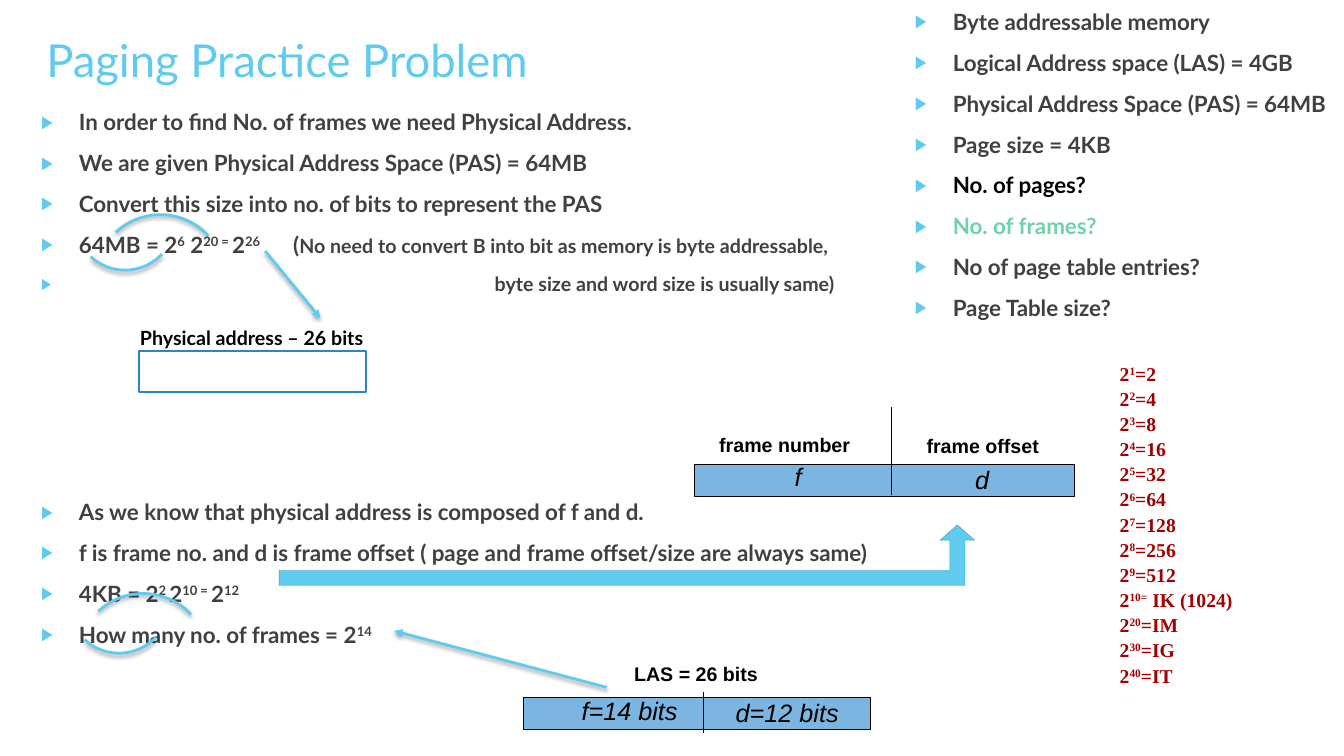
from dataclasses import dataclass

from lxml import etree
from pptx import Presentation
from pptx.dml.color import RGBColor
from pptx.enum.shapes import MSO_CONNECTOR, MSO_SHAPE
from pptx.enum.text import MSO_ANCHOR, PP_ALIGN
from pptx.oxml.ns import qn
from pptx.util import Pt

RECTANGLE, ARC, BENT_ARROW = MSO_SHAPE.RECTANGLE, MSO_SHAPE.ARC, MSO_SHAPE.BENT_UP_ARROW
STRAIGHT = MSO_CONNECTOR.STRAIGHT
LEFT, CENTER = PP_ALIGN.LEFT, PP_ALIGN.CENTER
TOP, MIDDLE = MSO_ANCHOR.TOP, MSO_ANCHOR.MIDDLE


@dataclass(frozen=True)
class Theme:
    accent: str = "5FCBEF"
    body: str = "404040"
    black: str = "000000"
    white: str = "FFFFFF"
    green: str = "6ED2AA"
    red: str = "A20000"
    bar: str = "7CB5E0"
    frame: str = "2E83C3"
    arrow_edge: str = "4696B1"
    sans: str = "Lato"
    label: str = "Arial"
    serif: str = "Times New Roman"
    title_size: float = 32.4
    cell_size: float = 18
    body_size: float = 16
    small_size: float = 14


THEME = Theme()


def color(value):
    return RGBColor.from_string(value)


def child(parent, tag, **attributes):
    return etree.SubElement(parent, qn(tag), attributes)


def style_span(span, size, font, ink, bold=True, italic=False):
    span.font.size, span.font.name = Pt(size), font
    span.font.bold, span.font.italic = bold, italic
    span.font.color.rgb = color(ink)


def add_spans(para, text, *style):
    """Add runs to para; text between carets is superscript."""
    for index, piece in enumerate(text.split("^")):
        if piece:
            span = para.add_run()
            span.text = piece
            style_span(span, *style)
            if index % 2:
                span.font._element.set("baseline", "30000")


def text_box(shapes, box, anchor=TOP):
    frame = shapes.add_textbox(*map(Pt, box)).text_frame
    frame.word_wrap = True
    frame.vertical_anchor = anchor
    return frame


def simple_text(shapes, box, text, *style, align=LEFT, anchor=TOP):
    para = text_box(shapes, box, anchor).paragraphs[0]
    para.text, para.alignment = text, align
    style_span(para.runs[0], *style)


def paragraphs(frame, count):
    return [frame.paragraphs[0]] + [frame.add_paragraph() for _ in range(count - 1)]


def set_bullet(para, indent=27):
    """Give para a triangle bullet, with its text hanging at indent points."""
    props = para._p.get_or_add_pPr()
    props.set("marL", str(Pt(indent)))
    props.set("indent", str(-Pt(indent)))
    child(child(props, "a:buClr"), "a:srgbClr", val=THEME.accent)
    child(props, "a:buSzPct", val="80000")
    child(props, "a:buFont", typeface="Arial")
    child(props, "a:buChar", char="▶")
    para.space_before = Pt(10)


def bullet_list(page, box, lines, inks=None):
    """Place bulleted lines; inks maps a line number to its colour."""
    inks = inks or {}
    items = paragraphs(text_box(page.shapes, box), len(lines))
    for index, (para, line) in enumerate(zip(items, lines)):
        set_bullet(para)
        add_spans(para, line, THEME.body_size, THEME.sans, inks.get(index, THEME.body))
    return items


def conversion_steps(page, box):
    *_, sum_line, note_line = bullet_list(page, box, [
        "In order to find No. of frames we need Physical Address.",
        "We are given Physical Address Space (PAS) = 64MB",
        "Convert this size into no. of bits to represent the PAS",
        "64MB = 2^6^ 2^20 = ^2^26^\t(",
        "byte size and word size is usually same)",
    ])
    tabs = child(sum_line._p.get_or_add_pPr(), "a:tabLst")
    child(tabs, "a:tab", pos=str(Pt(180)), algn="l")
    add_spans(sum_line, "No need to convert B into bit as memory is byte addressable,",
              THEME.small_size, THEME.sans, THEME.body)
    note_line.runs[0].font.size = Pt(THEME.small_size)
    props = note_line._p.get_or_add_pPr()
    props.set("marL", str(Pt(324)))
    props.set("indent", str(-Pt(324)))


def powers_of_two(page, box):
    lines = [f"2^{power}^={2 ** power}" for power in range(1, 10)]
    lines += ["2^10=^ IK (1024)", "2^20^=IM", "2^30^=IG", "2^40^=IT"]
    for para, line in zip(paragraphs(text_box(page.shapes, box), len(lines)), lines):
        para._p.get_or_add_pPr().set("marL", str(Pt(18)))
        para.line_spacing = 1.07
        add_spans(para, line, THEME.small_size, THEME.serif, THEME.red)


def add_shadow(effects):
    shadow = child(effects, "a:outerShdw", blurRad=str(Pt(3)), dist=str(Pt(2)),
                   dir="5400000", algn="ctr", rotWithShape="0")
    child(child(shadow, "a:srgbClr", val=THEME.black), "a:alpha", val="35000")


def preset(shapes, kind, box, fill, line, width):
    shape = shapes.add_shape(kind, *map(Pt, box))
    shape.shadow.inherit = False
    if fill:
        shape.fill.solid()
        shape.fill.fore_color.rgb = color(fill)
    else:
        shape.fill.background()
    shape.line.color.rgb = color(line)
    shape.line.width = Pt(width)
    return shape


def straight_line(shapes, start, end, ink, width):
    line = shapes.add_connector(STRAIGHT, *map(Pt, (*start, *end)))
    line.line.color.rgb = color(ink)
    line.line.width = Pt(width)
    return line, child(line._element.spPr, "a:effectLst")


def pointer(page, start, end):
    line, effects = straight_line(page.shapes, start, end, THEME.accent, 2)
    child(line.line._get_or_add_ln(), "a:tailEnd", type="triangle")
    add_shadow(effects)


def link_arc(page, left, top, size, rotation, flipped):
    arc = preset(page.shapes, ARC, (left, top, size, size), None, THEME.accent, 2)
    arc.rotation = rotation
    if flipped:
        arc._element.spPr.find(qn("a:xfrm")).set("flipV", "1")
    add_shadow(arc._element.spPr.find(qn("a:effectLst")))


def arc_pair(page, lower, upper):
    """Join the factors of a product from below and from above."""
    link_arc(page, *lower, 72, 133, False)
    link_arc(page, *upper, 93.6, 227, True)


def address_bar(page, box, divider, captions, cells):
    """Draw a divided bar; divider is x, top, bottom and labels are text, x, y of centre, all from its corner."""
    left, top, _, _ = box
    shapes = page.shapes.add_group_shape().shapes
    preset(shapes, RECTANGLE, box, THEME.bar, THEME.black, 0.75)
    x, start, end = divider
    straight_line(shapes, (left + x, top + start), (left + x, top + end), THEME.black, 0.75)
    caption_style = (THEME.small_size, THEME.label, THEME.black)
    cell_style = (THEME.cell_size, THEME.label, THEME.black, False, True)
    for labels, style in ((captions, caption_style), (cells, cell_style)):
        for text, x, y in labels:
            simple_text(shapes, (left + x - 60, top + y - 16, 120, 32), text, *style,
                        align=CENTER, anchor=MIDDLE)


def physical_address(page, box):
    left, top, _, _ = box
    preset(page.shapes, RECTANGLE, box, THEME.white, THEME.frame, 1.5)
    simple_text(page.shapes, (left - 6.5, top - 21.5, 188, 24.5), "Physical address – 26 bits",
                THEME.small_size, THEME.sans, THEME.black)


def offset_arrow(page, box):
    arrow = preset(page.shapes, BENT_ARROW, box, THEME.accent, THEME.arrow_edge, 0.25)
    for index, value in enumerate((0.25, 0.285, 0.25)):
        arrow.adjustments[index] = value


def paging_slide(deck):
    page = deck.slides.add_slide(deck.slide_layouts[6])
    simple_text(page.shapes, (26, 19.5, 677, 42), "Paging Practice Problem",
                THEME.title_size, THEME.sans, THEME.accent, False)
    conversion_steps(page, (22.3, 74, 607, 150))
    bullet_list(page, (22.3, 352.5, 607, 125), [
        "As we know that physical address is composed of f and d.",
        "f is frame no. and d is frame offset ( page and frame offset/size are always same)",
        "4KB = 2^2 ^2^10 = ^2^12^",
        "How many no. of frames = 2^14^",
    ])
    powers_of_two(page, (774.7, 253.5, 150, 243))
    bullet_list(page, (646.5, 2.2, 330, 305), [
        "Byte addressable memory",
        "Logical Address space (LAS) = 4GB",
        "Physical Address Space (PAS) = 64MB",
        "Page size = 4KB",
        "No. of pages?",
        "No. of frames?",
        "No of page table entries?",
        "Page Table size?",
    ], {4: THEME.black, 5: THEME.green})
    arc_pair(page, (53.3, 121), (67.7, 153.4))
    physical_address(page, (99.4, 250.5, 162, 29.5))
    pointer(page, (189.4, 179.3), (229, 227.5))
    address_bar(page, (496, 332, 271.5, 23), (140.5, -41, 21.5),
                [("frame number", 64.5, -14.5), ("frame offset", 206, -14)],
                [("f", 74, 8.5), ("d", 205.5, 10.5)])
    arc_pair(page, (49, 394.6), (55.4, 424))
    offset_arrow(page, (199.4, 375, 496.8, 43.2))
    address_bar(page, (373.7, 498.2, 248.4, 23), (129, -3.6, 25.2),
                [("LAS = 26 bits", 123.5, -17.2)],
                [("f=14 bits", 76, 9), ("d=12 bits", 188.6, 11)])
    pointer(page, (433.4, 491), (281.5, 450.7))


def main():
    deck = Presentation()
    deck.slide_width, deck.slide_height = Pt(960), Pt(540)
    paging_slide(deck)
    deck.save("out.pptx")


if __name__ == "__main__":
    main()
